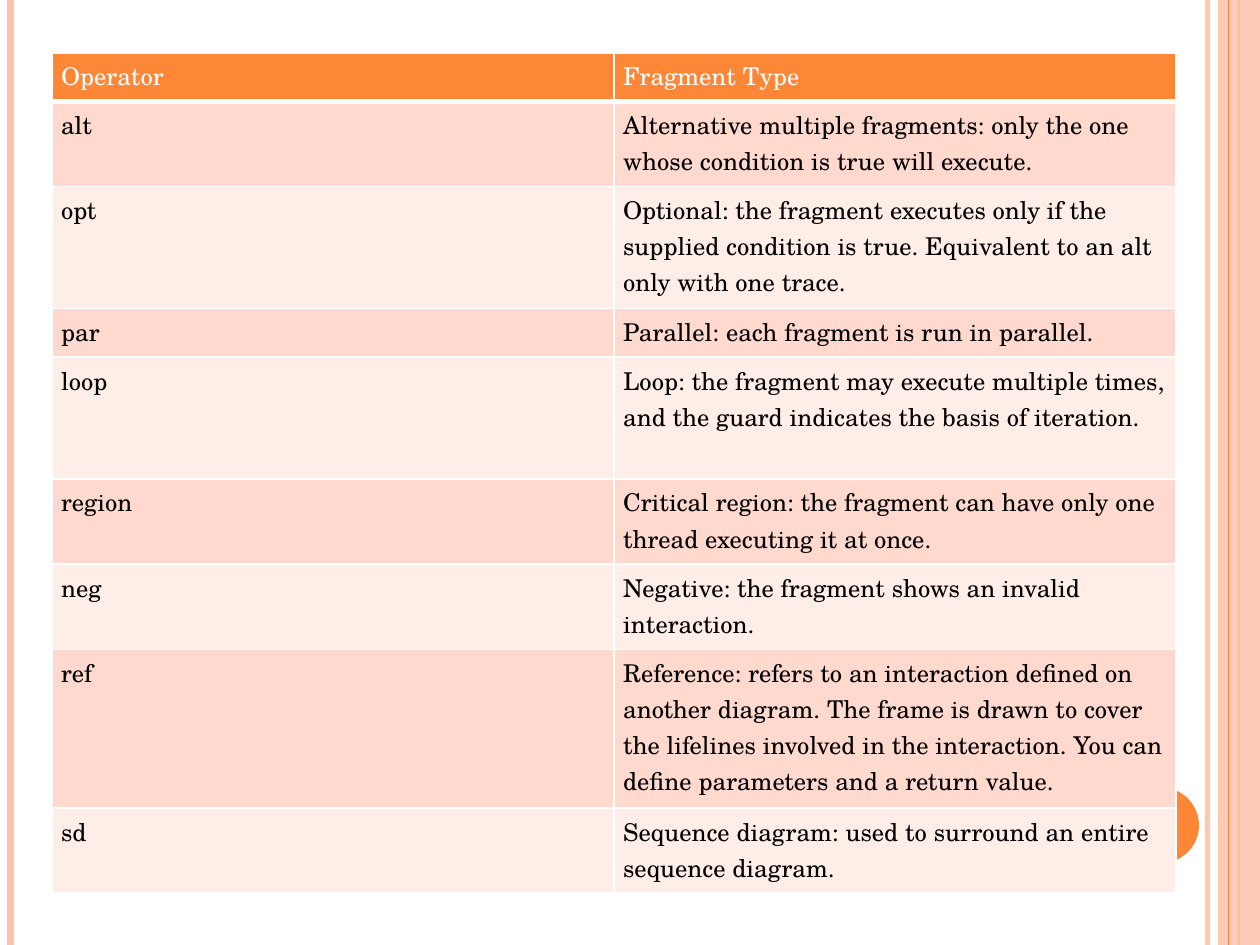
from lxml import etree
from pptx import Presentation
from pptx import util as u
from pptx.dml import color
from pptx.enum import shapes
from pptx.oxml import ns

FONT = "TeX Gyre Schola"
ORANGE, PEACH, WHITE, BLACK = "FE8637", "FEC3AE", "FFFFFF", "000000"
BANDS = ("FFD9CE", "FFEDE8")
PAGE_WIDTH, PAGE_HEIGHT = 720, 540

# Each row: operator, description, height in text lines
ROWS = [
    ("Operator", "Fragment Type", 1),
    ("alt", "Alternative multiple fragments: only the one whose condition "
            "is true will execute.", 2),
    ("opt", "Optional: the fragment executes only if the supplied condition "
            "is true. Equivalent to an alt only with one trace.", 3),
    ("par", "Parallel: each fragment is run in parallel.", 1),
    ("loop", "Loop: the fragment may execute multiple times, and the guard "
             "indicates the basis of iteration.", 3),
    ("region", "Critical region: the fragment can have only one thread "
               "executing it at once.", 2),
    ("neg", "Negative: the fragment shows an invalid interaction.", 2),
    ("ref", "Reference: refers to an interaction defined on another diagram. "
            "The frame is drawn to cover the lifelines involved in the "
            "interaction. You can define parameters and a return value.", 4),
    ("sd", "Sequence diagram: used to surround an entire sequence diagram.", 2),
]


def paint(target, value, opacity=100):
    """Give a fill a solid colour and an opacity in percent."""
    target.solid()
    target.fore_color.rgb = color.RGBColor.from_string(value)
    if opacity < 100:
        for tone in target._xPr.iter(ns.qn("a:srgbClr")):
            etree.SubElement(tone, ns.qn("a:alpha"), val=str(opacity * 1000))


def add_rule(page, x, value, width, opacity=100):
    """Draw a vertical line over the full height of the page."""
    rule = page.shapes.add_connector(
        shapes.MSO_CONNECTOR.STRAIGHT,
        u.Pt(x), u.Pt(0), u.Pt(x), u.Pt(PAGE_HEIGHT))
    rule.line.width = u.Pt(width)
    paint(rule.line.fill, value, opacity)
    etree.SubElement(rule._element.spPr, ns.qn("a:effectLst"))


def add_block(page, kind, bounds, value, opacity=100):
    """Draw a plain filled shape without an outline."""
    block = page.shapes.add_shape(kind, *map(u.Pt, bounds))
    block.shadow.inherit = False
    block.line.fill.background()
    paint(block.fill, value, opacity)


def set_borders(cell, bottom):
    """Put white borders round a cell, with a bottom width in points."""
    properties = cell._tc.get_or_add_tcPr()
    widths = {"lnL": 1, "lnR": 1, "lnT": 1, "lnB": bottom}
    for index, (side, width) in enumerate(widths.items()):
        border = etree.Element(ns.qn(f"a:{side}"), w=str(u.Pt(width)))
        fill = etree.SubElement(border, ns.qn("a:solidFill"))
        etree.SubElement(fill, ns.qn("a:srgbClr"), val=WHITE)
        properties.insert(index, border)


def fill_cell(cell, words, is_header, band):
    """Write and format one table cell."""
    cell.margin_left = cell.margin_right = u.Pt(5.2)
    cell.margin_top = cell.margin_bottom = u.Pt(3)
    cell.text_frame.text = words
    font = cell.text_frame.paragraphs[0].runs[0].font
    font.name, font.size, font.bold = FONT, u.Pt(14), False
    paint(font.fill, WHITE if is_header else BLACK)
    paint(cell.fill, ORANGE if is_header else band)
    set_borders(cell, 3 if is_header else 1)


def add_operator_table(page):
    """Add the table of fragment operators."""
    heights = [6.7 + 21 * lines for *_, lines in ROWS]
    table = page.shapes.add_table(
        len(ROWS), 2, u.Pt(29.7), u.Pt(30.2), u.Pt(642.4),
        u.Pt(sum(heights))).table
    table.first_row = table.horz_banding = False
    for column in table.columns:
        column.width = u.Pt(321.2)
    for index, (operator, meaning, _) in enumerate(ROWS):
        table.rows[index].height = u.Pt(heights[index])
        for column, words in enumerate((operator, meaning)):
            fill_cell(table.cell(index, column), words, index == 0,
                      BANDS[(index - 1) % 2])


def main():
    """Build the slide and save it."""
    deck = Presentation()
    deck.slide_width, deck.slide_height = u.Pt(PAGE_WIDTH), u.Pt(PAGE_HEIGHT)
    page = deck.slides.add_slide(deck.slide_layouts[6])
    add_rule(page, 690, PEACH, 3, 93)
    add_rule(page, 6, PEACH, 4.5)
    add_rule(page, 708, ORANGE, 1.5)
    add_block(page, shapes.MSO_SHAPE.RECTANGLE,
              (696, 0, 24, PAGE_HEIGHT), PEACH, 87)
    add_rule(page, 702, ORANGE, 0.75)
    add_block(page, shapes.MSO_SHAPE.OVAL, (642, 450, 43.2, 43.2), ORANGE)
    add_operator_table(page)
    deck.save("out.pptx")


if __name__ == "__main__":
    main()
